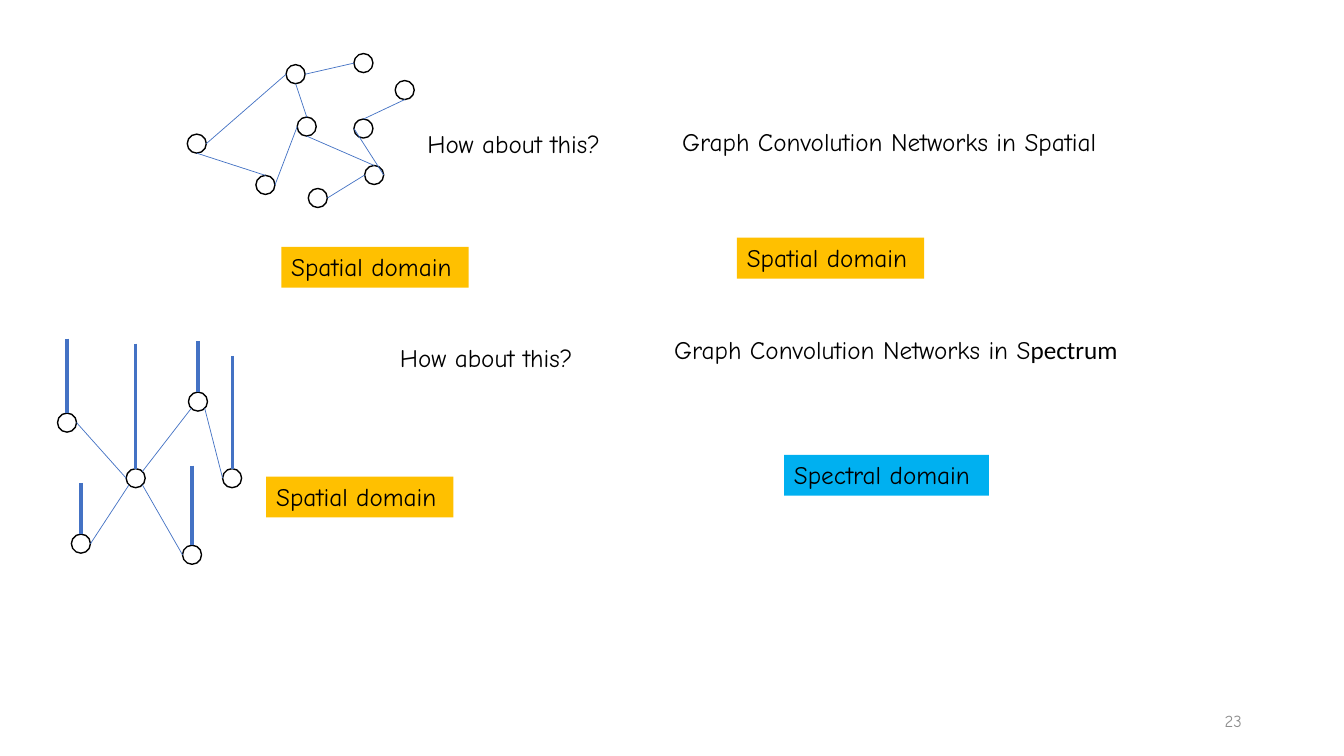
from dataclasses import dataclass
from enum import Enum
from math import sqrt
from typing import Optional

from lxml.etree import SubElement
from pptx import Presentation
from pptx.dml.color import RGBColor
from pptx.enum.shapes import MSO_CONNECTOR, MSO_SHAPE
from pptx.enum.text import MSO_ANCHOR, PP_ALIGN
from pptx.oxml.ns import qn
from pptx.shapes.shapetree import GroupShapes, SlideShapes
from pptx.util import Cm, Pt


@dataclass(frozen=True)
class Theme:
    font: str = "Comic Neue"
    plain_font: str = "Calibri"
    ink: RGBColor = RGBColor(0x00, 0x00, 0x00)
    paper: RGBColor = RGBColor(0xFF, 0xFF, 0xFF)
    line: RGBColor = RGBColor(0x44, 0x72, 0xC4)
    spatial: RGBColor = RGBColor(0xFF, 0xC0, 0x00)
    spectral: RGBColor = RGBColor(0x00, 0xB0, 0xF0)
    muted: RGBColor = RGBColor(0x8C, 0x8C, 0x8C)
    text_size: float = 18
    number_size: float = 12
    outline: float = 1
    edge: float = 0.5
    stem: float = 2.25


THEME = Theme()
NODE_SIZE = 0.48
ROW_HEIGHT = 1.03
DIAGONAL = sqrt(0.5)


class Site(Enum):
    """Direction from a node's centre to a point on its outline."""
    TOP = (0, -1)
    LEFT = (-1, 0)
    BOTTOM = (0, 1)
    RIGHT = (1, 0)
    TOP_RIGHT = (DIAGONAL, -DIAGONAL)
    BOTTOM_LEFT = (-DIAGONAL, DIAGONAL)
    BOTTOM_RIGHT = (DIAGONAL, DIAGONAL)


@dataclass(frozen=True)
class Node:
    left: float
    top: float
    stem_top: Optional[float] = None

    def point(self, site: Site) -> tuple[float, float]:
        radius = NODE_SIZE / 2
        across, down = site.value
        return self.left + radius * (1 + across), self.top + radius * (1 + down)


@dataclass(frozen=True)
class Edge:
    start: str
    start_site: Site
    end: str
    end_site: Site


@dataclass(frozen=True)
class Label:
    spans: tuple[str, ...]  # a second span is set in the plain font
    left: float
    top: float
    width: float
    fill: Optional[RGBColor] = None
    size: float = THEME.text_size
    color: RGBColor = THEME.ink
    align: PP_ALIGN = PP_ALIGN.LEFT
    anchor: MSO_ANCHOR = MSO_ANCHOR.TOP


SPATIAL_NODES = {
    "west": Node(4.72, 3.38),
    "north": Node(7.21, 1.63),
    "north east": Node(8.92, 1.35),
    "south west": Node(6.45, 4.42),
    "centre": Node(7.49, 2.95),
    "east": Node(9.96, 2.03),
    "south": Node(7.77, 4.75),
    "south east": Node(9.19, 4.17),
    "inner east": Node(8.92, 3.0),
}
SPATIAL_EDGES = [
    Edge("west", Site.BOTTOM, "south west", Site.TOP),
    Edge("west", Site.RIGHT, "north", Site.LEFT),
    Edge("north east", Site.LEFT, "north", Site.RIGHT),
    Edge("north", Site.BOTTOM, "centre", Site.TOP),
    Edge("centre", Site.BOTTOM, "south east", Site.TOP),
    Edge("east", Site.BOTTOM, "inner east", Site.TOP),
    Edge("inner east", Site.LEFT, "south east", Site.RIGHT),
    Edge("south west", Site.RIGHT, "centre", Site.LEFT),
    Edge("south", Site.RIGHT, "south east", Site.LEFT),
]
SIGNAL_NODES = {
    "north west": Node(1.45, 10.41, 8.53),
    "hub": Node(3.18, 11.81, 8.66),
    "south west": Node(1.8, 13.46, 12.17),
    "south east": Node(4.6, 13.74, 11.73),
    "north east": Node(4.75, 9.88, 8.59),
    "east": Node(5.61, 11.81, 8.97),
}
SIGNAL_EDGES = [
    Edge("north west", Site.RIGHT, "hub", Site.LEFT),
    Edge("south west", Site.RIGHT, "hub", Site.BOTTOM_LEFT),
    Edge("hub", Site.TOP_RIGHT, "north east", Site.BOTTOM_LEFT),
    Edge("north east", Site.BOTTOM_RIGHT, "east", Site.LEFT),
    Edge("hub", Site.BOTTOM_RIGHT, "south east", Site.LEFT),
]
LABELS = [
    Label(("How about this?",), 10.52, 3.12, 5.18),
    Label(("Graph Convolution Networks in Spatial",), 16.94, 3.05, 11.58),
    Label(("How about this?",), 9.83, 8.51, 5.18),
    Label(("Graph Convolution Networks in S", "pectrum"), 16.74, 8.31, 12.19),
    Label(("Spatial domain",), 7.09, 6.22, 4.72, THEME.spatial),
    Label(("Spatial domain",), 18.57, 5.99, 4.72, THEME.spatial),
    Label(("Spatial domain",), 6.71, 12.01, 4.72, THEME.spatial),
    Label(("Spectral domain",), 19.76, 11.46, 5.16, THEME.spectral),
    Label(("23",), 23.93, 17.65, 7.62, size=THEME.number_size, color=THEME.muted,
          align=PP_ALIGN.RIGHT, anchor=MSO_ANCHOR.MIDDLE),
]


def draw_line(shapes: SlideShapes | GroupShapes, start: tuple[float, float],
              end: tuple[float, float], width: float) -> None:
    line = shapes.add_connector(
        MSO_CONNECTOR.STRAIGHT, *(Cm(value) for value in (*start, *end)))
    line.line.color.rgb = THEME.line
    line.line.width = Pt(width)
    SubElement(line._element.spPr, qn("a:effectLst"))


def draw_node(shapes: SlideShapes, node: Node) -> None:
    """Draw a circle, grouped with its signal stem if it has one."""
    has_stem = node.stem_top is not None
    target = shapes.add_group_shape().shapes if has_stem else shapes
    circle = target.add_shape(MSO_SHAPE.OVAL, Cm(node.left), Cm(node.top),
                              Cm(NODE_SIZE), Cm(NODE_SIZE))
    circle.shadow.inherit = False
    circle.fill.solid()
    circle.fill.fore_color.rgb = THEME.paper
    circle.line.color.rgb = THEME.ink
    circle.line.width = Pt(THEME.outline)
    if has_stem:
        foot = node.point(Site.TOP)
        draw_line(target, (foot[0], node.stem_top), foot, THEME.stem)


def draw_graph(shapes: SlideShapes, nodes: dict[str, Node], edges: list[Edge]) -> None:
    for node in nodes.values():
        draw_node(shapes, node)
    for edge in edges:
        draw_line(shapes, nodes[edge.start].point(edge.start_site),
                  nodes[edge.end].point(edge.end_site), THEME.edge)


def draw_label(shapes: SlideShapes, label: Label) -> None:
    box = shapes.add_textbox(Cm(label.left), Cm(label.top), Cm(label.width), Cm(ROW_HEIGHT))
    if label.fill is not None:
        box.fill.solid()
        box.fill.fore_color.rgb = label.fill
    frame = box.text_frame
    frame.word_wrap = True
    frame.vertical_anchor = label.anchor
    paragraph = frame.paragraphs[0]
    paragraph.alignment = label.align
    for text, font in zip(label.spans, (THEME.font, THEME.plain_font)):
        span = paragraph.add_run()
        span.text = text
        span.font.name = font
        span.font.size = Pt(label.size)
        span.font.color.rgb = label.color


def main() -> None:
    deck = Presentation()
    deck.slide_width, deck.slide_height = Cm(33.87), Cm(19.05)
    page = deck.slides.add_slide(deck.slide_layouts[6])
    draw_graph(page.shapes, SPATIAL_NODES, SPATIAL_EDGES)
    for label in LABELS:
        draw_label(page.shapes, label)
    draw_graph(page.shapes, SIGNAL_NODES, SIGNAL_EDGES)
    deck.save("out.pptx")


if __name__ == "__main__":
    main()
